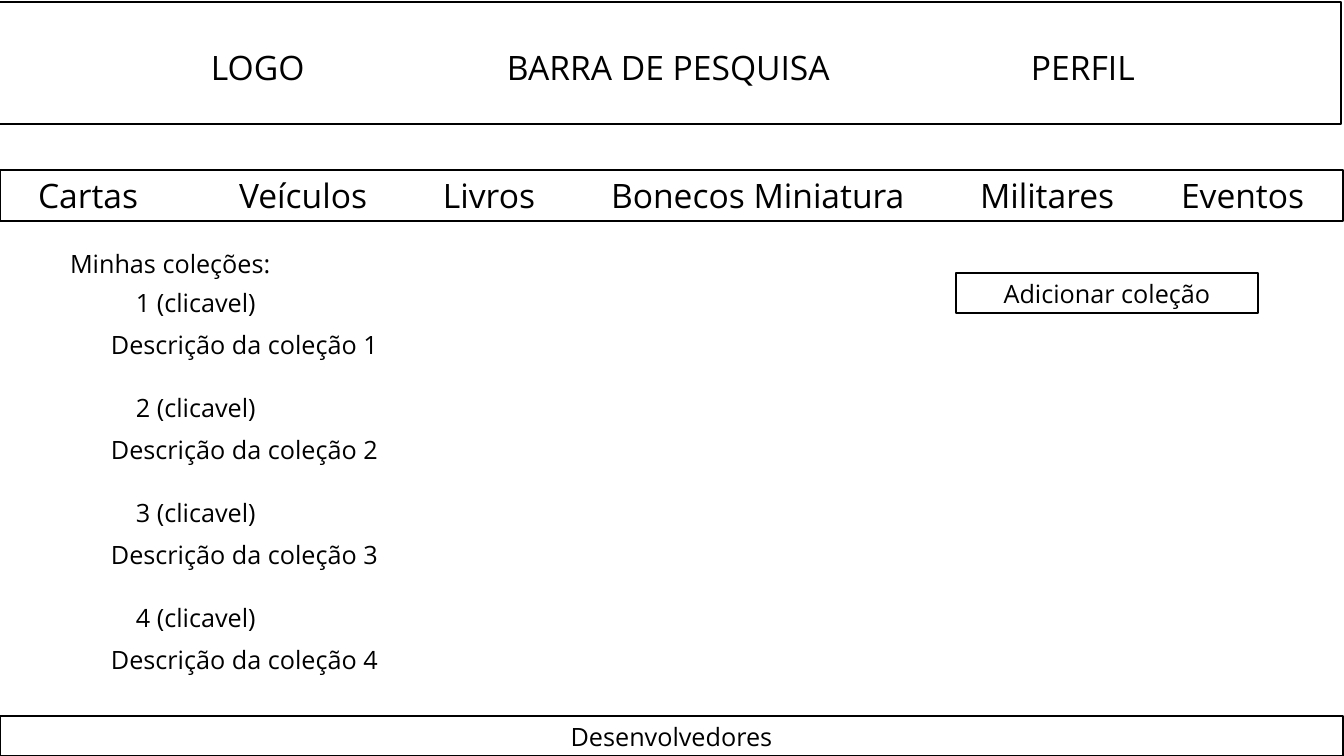
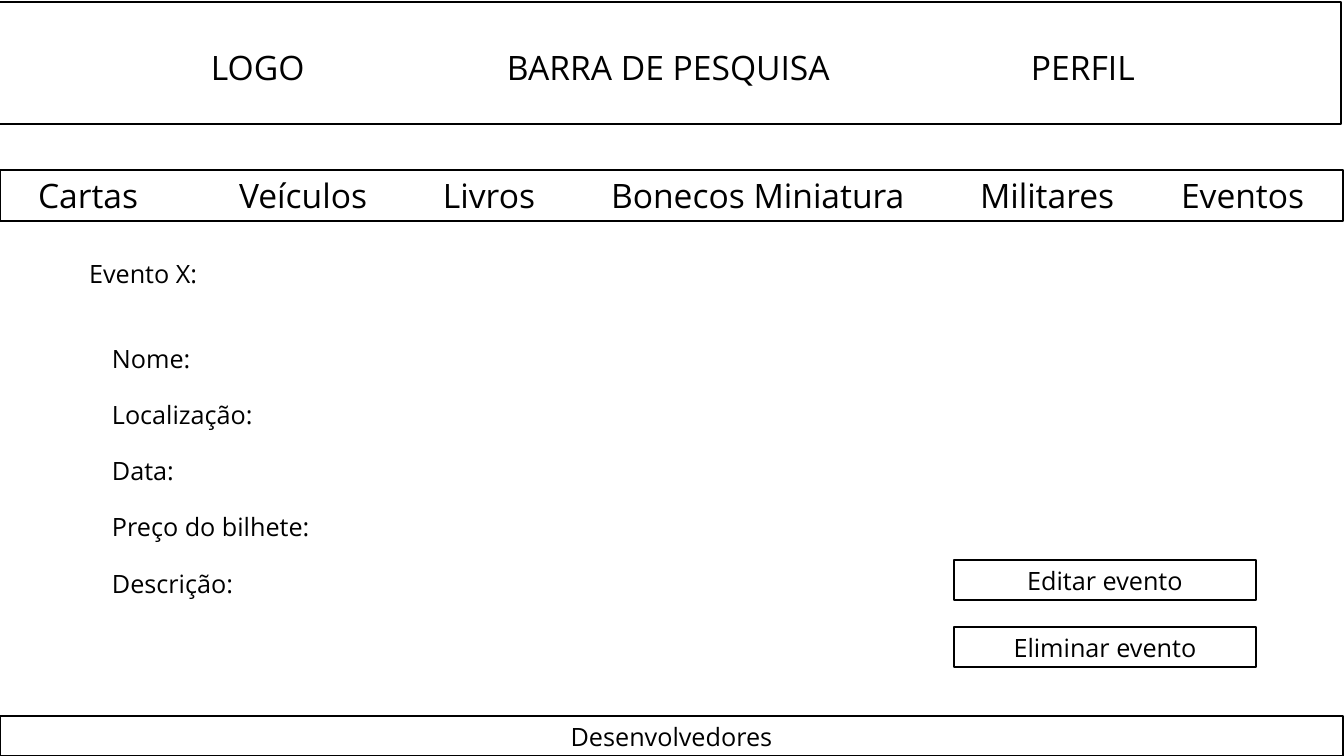
from dataclasses import dataclass

from lxml.etree import SubElement
from pptx import Presentation
from pptx.dml.color import RGBColor
from pptx.enum.shapes import MSO_SHAPE as Shape
from pptx.enum.text import MSO_ANCHOR as Anchor, MSO_AUTO_SIZE as Fit, PP_ALIGN as Align
from pptx.oxml.ns import qn
from pptx.util import Emu, Pt


@dataclass(frozen=True)
class Theme:
    font: str = "Open Sans"
    ink: RGBColor = RGBColor(0, 0, 0)
    paper: RGBColor = RGBColor(255, 255, 255)
    large: int = 24
    body: int = 18
    line: float = 1.5


THEME = Theme()
WIDE, HIGH = 1344, 756
PAD = (10, 5, 10, 5)

# Bars: box in px, then (label, left edge in px)
HEADER = ((-1, 2, 1342, 122),
          [("LOGO", 211), ("BARRA DE PESQUISA", 507), ("PERFIL", 1031)])
MENU = ((0, 170, 1343, 51),
        [("Cartas", 38), ("Veículos", 239), ("Livros", 443),
         ("Bonecos Miniatura", 611), ("Militares", 980), ("Eventos", 1181)])
FOOTER = ((0, 716, 1343, 40), "Desenvolvedores")
BUTTON = (302, 40)

# Paragraphs: (text, indent, space before), lengths in px
ITEMS = [part for n in range(1, 5) for part in (
    (f"{n} (clicavel)", 25, 42 if n > 1 else 0),
    (f"Descrição da coleção {n}", 0, 21))]
FIELDS = [(name, 0, 26 if i else 0) for i, name in enumerate(
    ["Nome:", "Localização:", "Data:", "Preço do bilhete:", "Descrição:"])]

PAGES = [
    {"title": ("Minhas coleções:", (60, 243, 582, 40)),
     "text": (ITEMS, (101, 292, 856, 422), 21),
     "buttons": [("Adicionar coleção", 956, 273)]},
    {"title": ("Evento X:", (79, 253, 582, 40)),
     "text": (FIELDS, (102, 338, 444, 285), None),
     "buttons": [("Editar evento", 954, 560), ("Eliminar evento", 954, 627)]},
]


def px(n):
    return Emu(round(n * 12192000 / WIDE))


def place(shape, box):
    shape.left, shape.top, shape.width, shape.height = map(px, box)


def setup(shape, anchor, pad=PAD):
    frame = shape.text_frame
    frame.word_wrap = True
    frame.auto_size = Fit.NONE
    frame.vertical_anchor = anchor
    (frame.margin_left, frame.margin_top,
     frame.margin_right, frame.margin_bottom) = map(px, pad)
    return frame


def write(para, text, size, align=Align.LEFT):
    para.alignment = align
    run = para.add_run()
    run.text = text
    font = run.font
    font.name, font.size = THEME.font, Pt(size)
    font.color.rgb = THEME.ink


def add_box(slide, box, pad=PAD):
    """Draw an outlined rectangle and return its text frame."""
    shape = slide.shapes.add_shape(Shape.RECTANGLE, *map(px, box))
    shape.shadow.inherit = False
    shape.fill.solid()
    shape.fill.fore_color.rgb = THEME.paper
    shape.line.color.rgb = THEME.ink
    shape.line.width = Pt(THEME.line)
    return setup(shape, Anchor.MIDDLE, pad)


def add_label(slide, box, text):
    write(add_box(slide, box).paragraphs[0], text, THEME.body, Align.CENTER)


def add_bar(slide, box, items, drop=0):
    """Draw a bar whose labels sit on tab stops; drop is the top inset."""
    first = items[0][1]
    frame = add_box(slide, box, (first - box[0], drop, 10, 0))
    para = frame.paragraphs[0]
    write(para, "\t".join(name for name, _ in items), THEME.large)
    tabs = SubElement(para._p.get_or_add_pPr(), qn("a:tabLst"))
    for _, left in items[1:]:
        SubElement(tabs, qn("a:tab"), pos=str(px(left - first)), algn="l")


def add_title(slide, text, box):
    title = slide.shapes.title
    place(title, box)
    write(setup(title, Anchor.TOP).paragraphs[0], text, THEME.body)


def add_text(slide, parts, box, pitch):
    """Add paragraphs; pitch is an exact line height in px, or None."""
    frame = setup(slide.shapes.add_textbox(*map(px, box)), Anchor.TOP)
    for i, (text, indent, gap) in enumerate(parts):
        para = frame.add_paragraph() if i else frame.paragraphs[0]
        para.space_before = px(gap)
        if pitch:
            para.line_spacing = px(pitch)
        para._p.get_or_add_pPr().set("marL", str(px(indent)))
        write(para, text, THEME.body)


def add_page(deck, page):
    slide = deck.slides.add_slide(deck.slide_layouts.get_by_name("Title Only"))
    fill = slide.background.fill
    fill.solid()
    fill.fore_color.rgb = THEME.paper
    add_bar(slide, *HEADER, drop=8)
    add_bar(slide, *MENU)
    add_label(slide, *FOOTER)
    add_title(slide, *page["title"])
    add_text(slide, *page["text"])
    for text, left, top in page["buttons"]:
        add_label(slide, (left, top, *BUTTON), text)


def main():
    deck = Presentation()
    deck.slide_width, deck.slide_height = px(WIDE), px(HIGH)
    for page in PAGES:
        add_page(deck, page)
    deck.save("out.pptx")


if __name__ == "__main__":
    main()
